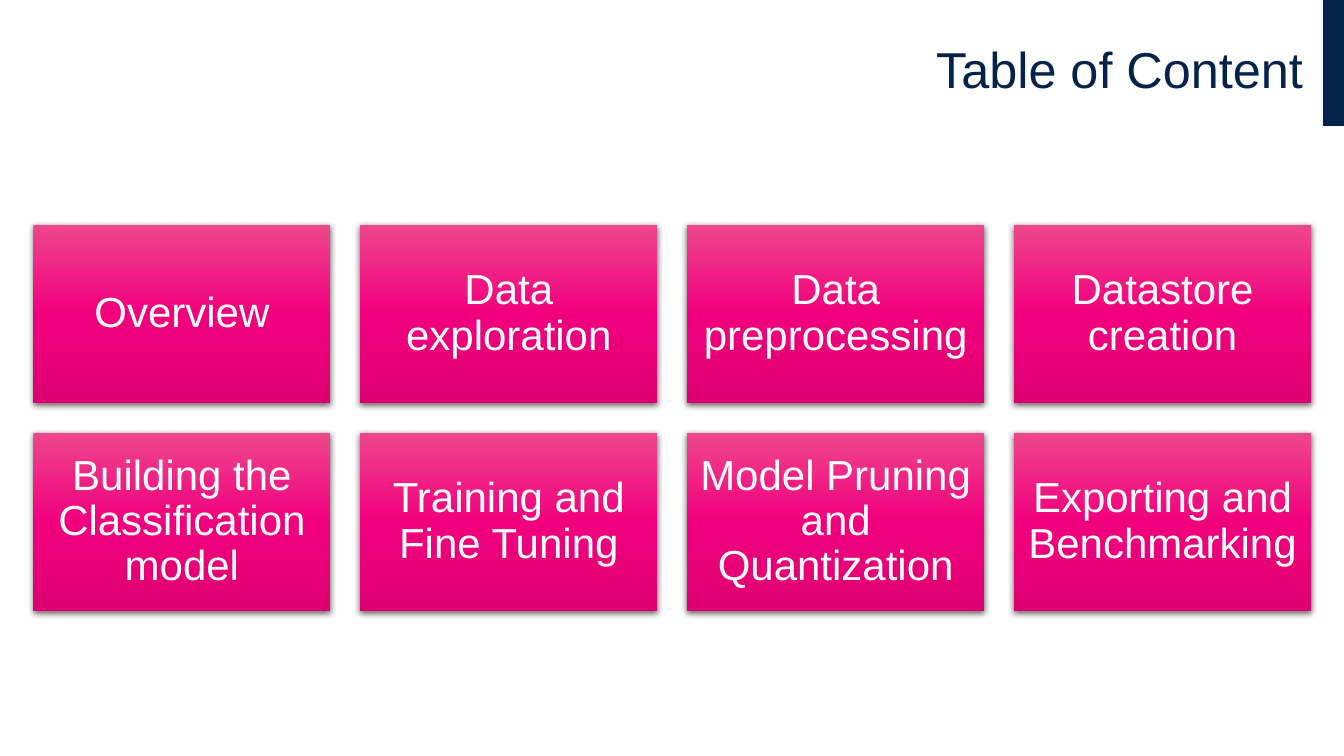
"""Build a table of contents slide with a grid of eight topic boxes."""
from copy import deepcopy

from pptx import Presentation
from pptx.dml.color import RGBColor
from pptx.enum.shapes import MSO_SHAPE
from pptx.enum.text import MSO_ANCHOR, PP_ALIGN
from pptx.oxml import parse_xml
from pptx.oxml.ns import nsdecls, qn
from pptx.util import Pt

RECTANGLE = MSO_SHAPE.RECTANGLE
MIDDLE = MSO_ANCHOR.MIDDLE
CENTER, RIGHT = PP_ALIGN.CENTER, PP_ALIGN.RIGHT

NAVY = "03234B"
WHITE = "FFFFFF"
GRADIENT = [(0, "EE478C"), (0.5, "F1007E"), (1, "DE0070")]
SHADOW = (
    f'<a:outerShdw {nsdecls("a")} blurRad="{Pt(4.5)}" dist="{Pt(1.5)}" '
    'dir="5400000" algn="ctr" rotWithShape="0"><a:srgbClr val="000000">'
    '<a:alpha val="62000"/></a:srgbClr></a:outerShdw>'
)

TOPICS = [
    "Overview",
    "Data exploration",
    "Data preprocessing",
    "Datastore creation",
    "Building the Classification model",
    "Training and Fine Tuning",
    "Model Pruning and Quantization",
    "Exporting and Benchmarking",
]
COLUMNS = 4
GRID_LEFT, GRID_TOP = 23.8, 160.6
BOX_WIDTH, BOX_HEIGHT = 212.3, 127.4
GAP = 21.2


def color(value):
    return RGBColor.from_string(value)


def write_text(shape, text, size, font_color, alignment, margins):
    frame = shape.text_frame
    frame.text = text
    frame_format = {"word_wrap": True, "vertical_anchor": MIDDLE}
    for side, margin in zip(("left", "top", "right", "bottom"), margins):
        frame_format[f"margin_{side}"] = Pt(margin)
    para = frame.paragraphs[0]
    font = para.runs[0].font
    para_format = {
        "alignment": alignment,
        "line_spacing": 0.9,
        "space_before": Pt(0),
        "space_after": Pt(0),
    }
    font_format = {"name": "Arial", "size": Pt(size)}
    for target, values in ((frame, frame_format), (para, para_format), (font, font_format)):
        for name, value in values.items():
            setattr(target, name, value)
    font.color.rgb = color(font_color)


deck = Presentation()
deck.slide_width, deck.slide_height = Pt(960), Pt(540)
page = deck.slides.add_slide(deck.slide_layouts.get_by_name("Title Only"))

accent = page.shapes.add_shape(RECTANGLE, Pt(945.2), Pt(0), Pt(14.8), Pt(90))
accent.shadow.inherit = False
accent.fill.solid()
accent.fill.fore_color.rgb = color(NAVY)
accent.line.fill.background()

title = page.shapes.title
title_place = {"left": 23.8, "top": 0, "width": 914.2, "height": 102.7}
for name, length in title_place.items():
    setattr(title, name, Pt(length))
write_text(title, "Table of Content", 36, NAVY, RIGHT, (7.2, 3.6, 7.2, 3.6))

for index, topic in enumerate(TOPICS):
    row, column = divmod(index, COLUMNS)
    left = GRID_LEFT + column * (BOX_WIDTH + GAP)
    top = GRID_TOP + row * (BOX_HEIGHT + GAP)
    box = page.shapes.add_shape(RECTANGLE, Pt(left), Pt(top), Pt(BOX_WIDTH), Pt(BOX_HEIGHT))
    box.line.fill.background()
    box.shadow.inherit = False
    properties = box.element.spPr
    properties.find(qn("a:effectLst")).append(parse_xml(SHADOW))

    box.fill.gradient()
    box.fill.gradient_angle = 270
    stops = properties.find(qn("a:gradFill")).find(qn("a:gsLst"))
    stops.append(deepcopy(stops[0]))
    for stop, (position, stop_color) in zip(box.fill.gradient_stops, GRADIENT):
        stop.position = position
        stop.color.rgb = color(stop_color)

    write_text(box, topic, 30, WHITE, CENTER, (8.6, 8.6, 8.6, 8.6))

deck.save("out.pptx")
